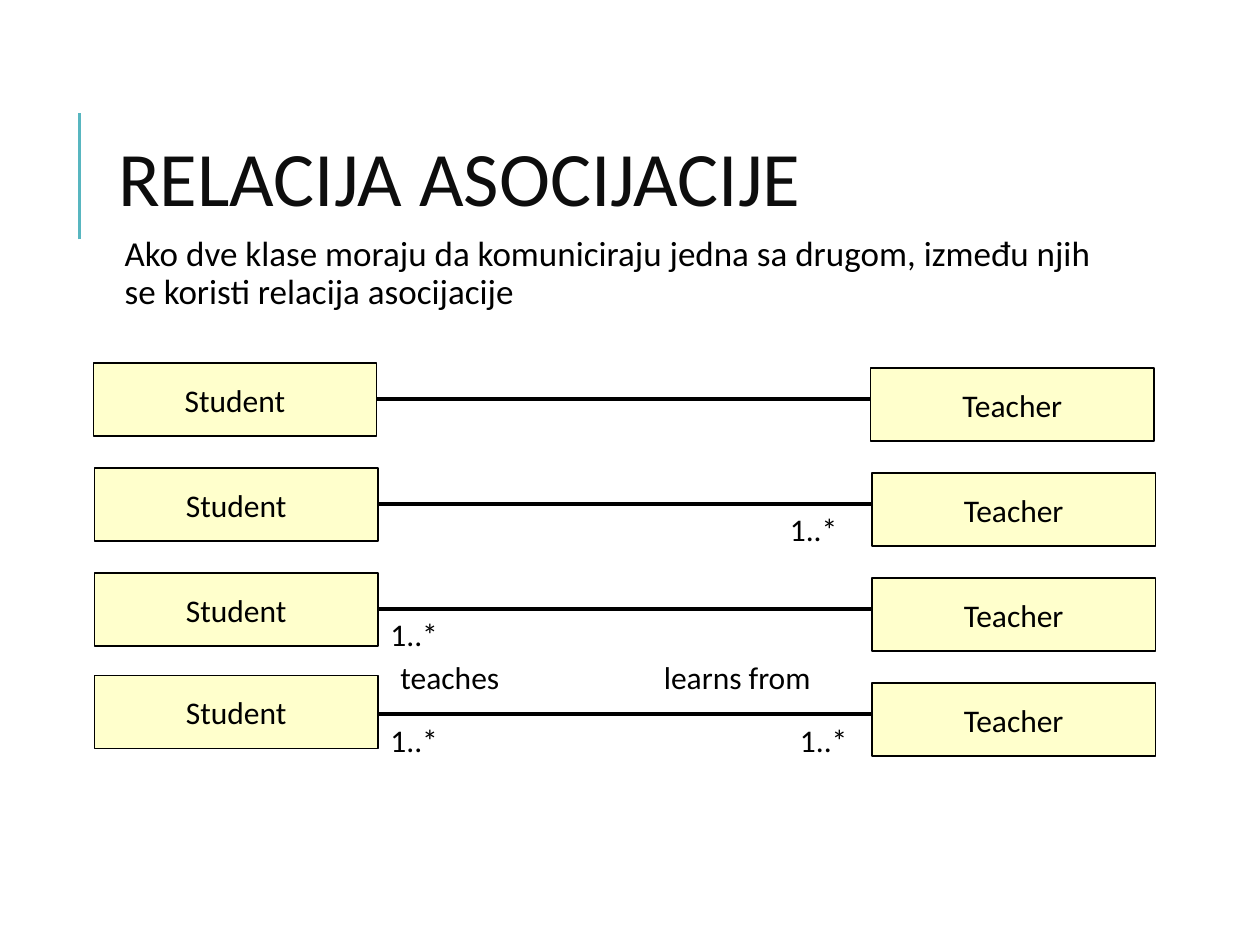
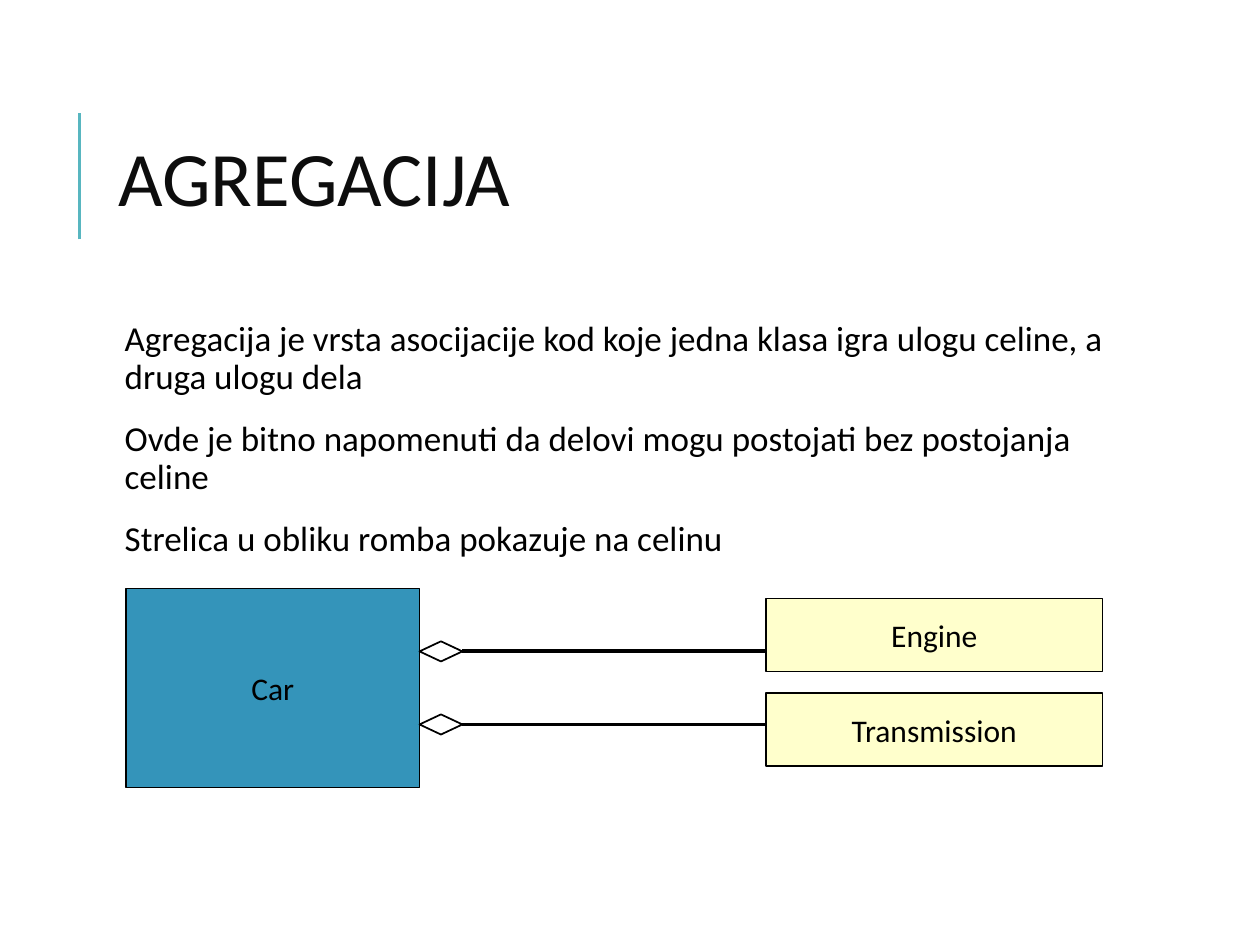
from lxml import etree
from pptx import Presentation
from pptx import util as u
from pptx.dml.color import RGBColor
from pptx.enum import shapes, text
from pptx.oxml import ns

INK = RGBColor(0x00, 0x00, 0x00)
HEAD = RGBColor(0x0D, 0x0D, 0x0D)
TEAL = RGBColor(0x58, 0xB6, 0xC0)
CREAM = RGBColor(0xFF, 0xFF, 0xCC)
BLUE = RGBColor(0x34, 0x94, 0xBA)
WHITE = RGBColor(0xFF, 0xFF, 0xFF)
FONT = "Calibri"
RECT = shapes.MSO_SHAPE.RECTANGLE
DIAMOND = shapes.MSO_SHAPE.DIAMOND
MIDDLE = text.MSO_ANCHOR.MIDDLE
RIGHT = 3


class Deck:
    """Holds the shared style and draws on the current slide."""

    def __init__(self):
        self.prs = Presentation()
        self.prs.slide_width = u.Inches(10)
        self.prs.slide_height = u.Inches(7.5)
        self.slide = None

    def start(self, title):
        self.slide = self.prs.slides.add_slide(self.prs.slide_layouts[6])
        self.line(0.63, 1.9, 0.63, 0.9, TEAL, 1.5)
        frame = self.frame(0.84, 0.64, 7.97, 1.64)
        frame.vertical_anchor = MIDDLE
        para = frame.paragraphs[0]
        para.line_spacing = 0.8
        self.run(para, title, 44, HEAD)

    def run(self, para, words, size, color=INK):
        run = para.add_run()
        run.text = words
        run.font.name = FONT
        run.font.size = u.Pt(size)
        run.font.color.rgb = color

    def frame(self, x, y, w, h):
        box = self.slide.shapes.add_textbox(*map(u.Inches, (x, y, w, h)))
        box.text_frame.word_wrap = True
        return box.text_frame

    def body(self, top, *items):
        frame = self.frame(0.84, top, 7.97, 6.9 - top)
        frame.margin_left = u.Inches(0.15)
        frame.margin_right = u.Inches(0.05)
        for i, item in enumerate(items):
            para = frame.add_paragraph() if i else frame.paragraphs[0]
            para.line_spacing = 0.9
            para.space_before = u.Pt(12 if i else 0)
            para.space_after = u.Pt(2)
            self.run(para, item, 20)

    def label(self, words, x, y, w=0.75):
        self.run(self.frame(x, y, w, 0.4).paragraphs[0], words, 18)

    def shape(self, kind, x, y, w, h, fill, width=0.75):
        shape = self.slide.shapes.add_shape(kind, *map(u.Inches, (x, y, w, h)))
        shape.shadow.inherit = False
        shape.fill.solid()
        shape.fill.fore_color.rgb = fill
        shape.line.color.rgb = INK
        shape.line.width = u.Pt(width)
        return shape

    def box(self, words, x, y, w, h=0.58, fill=CREAM):
        shape = self.shape(RECT, x, y, w, h, fill)
        frame = shape.text_frame
        frame.word_wrap = False
        frame.vertical_anchor = MIDDLE
        para = frame.paragraphs[0]
        para.alignment = text.PP_ALIGN.CENTER
        self.run(para, words, 18)
        return shape

    def line(self, x1, y1, x2, y2, color=INK, width=2.25):
        line = self.slide.shapes.add_connector(
            shapes.MSO_CONNECTOR.STRAIGHT, *map(u.Inches, (x1, y1, x2, y2)))
        line.line.color.rgb = color
        line.line.width = u.Pt(width)
        etree.SubElement(line._element.spPr, ns.qn("a:effectLst"))
        return line


def link(deck):
    deck.start("RELACIJA ASOCIJACIJE")
    deck.body(1.83, "Ako dve klase moraju da komuniciraju jedna sa drugom, "
                    "između njih se koristi relacija asocijacije")
    rows = [(0.74, 0.29), (0.75, 0.29), (0.75, 0.29), (0.75, 0.31)]
    for i, (x, rise) in enumerate(rows):
        y = 3.17 + i * 2.5 / 3
        pupil = deck.box("Student", x, y - rise, 2.25)
        line = deck.line(x + 2.25, y, x + 6.25, y)
        if rise == 0.29:
            line.begin_connect(pupil, RIGHT)
        deck.box("Teacher", x + 6.17, y - 0.25, 2.25)
    for x, y in [(6.17, 4), (3, 4.83), (6.25, 5.67), (3, 5.67)]:
        deck.label("1..*", x, y)
    deck.label("learns from", 5.17, 5.17, 1.75)
    deck.label("teaches", 3.08, 5.17, 1.25)


def whole(deck):
    deck.start("AGREGACIJA")
    deck.body(
        2.5,
        "Agregacija je vrsta asocijacije kod koje jedna klasa igra ulogu "
        "celine, a druga ulogu dela",
        "Ovde je bitno napomenuti da delovi mogu postojati bez postojanja "
        "celine",
        "Strelica u obliku romba pokazuje na celinu")
    deck.box("Car", 1, 4.67, 2.33, 1.58, BLUE)
    parts = [("Engine", 4.75, 5.17), ("Transmission", 5.5, 5.75)]
    for name, top, y in parts:
        deck.box(name, 6.08, top, 2.67)
        tip = deck.shape(DIAMOND, 3.33, y - 0.08, 0.34, 0.16, WHITE, 1)
        deck.line(3.67, y, 6.08, y).begin_connect(tip, RIGHT)


def main():
    deck = Deck()
    link(deck)
    whole(deck)
    deck.prs.save("out.pptx")


if __name__ == "__main__":
    main()
